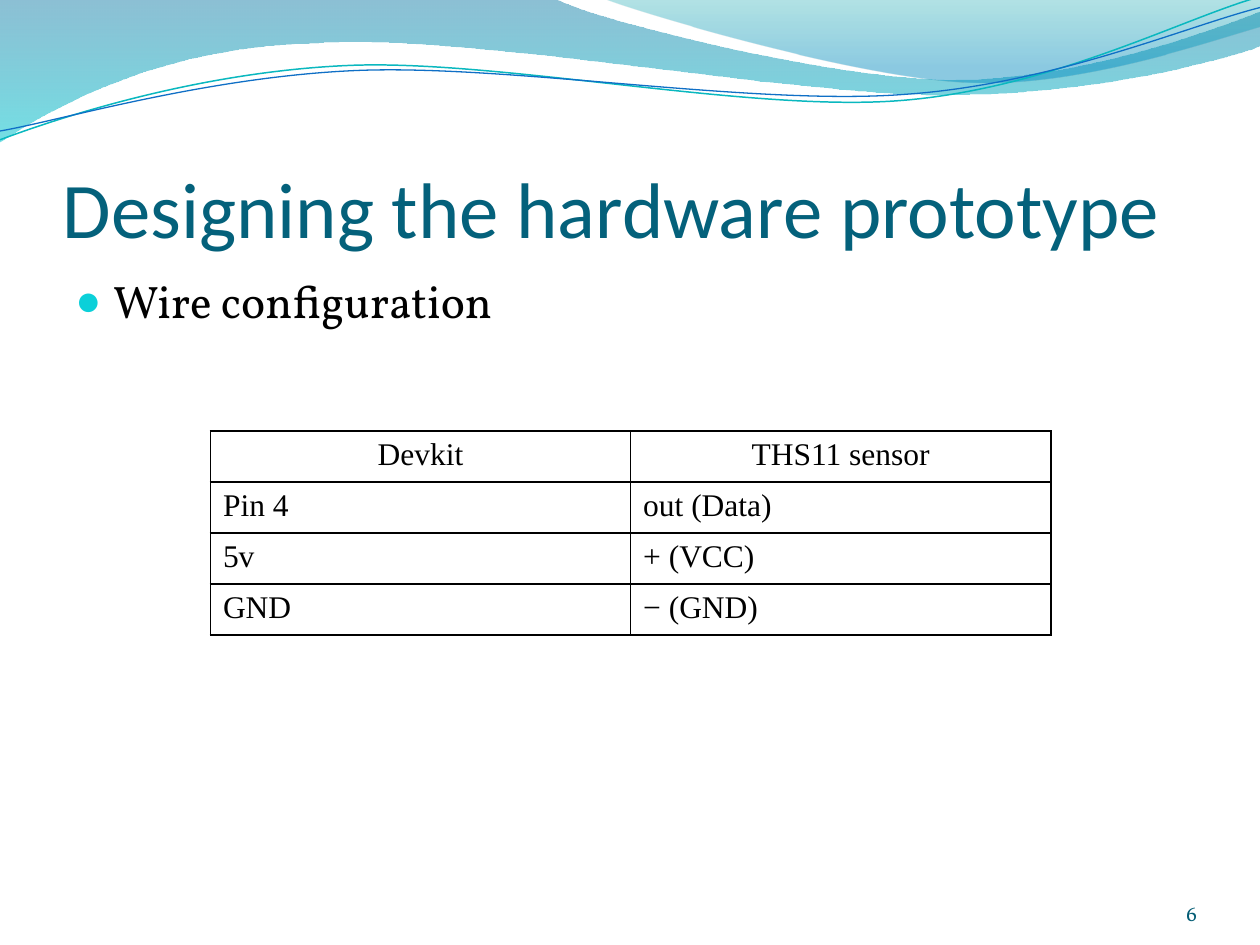
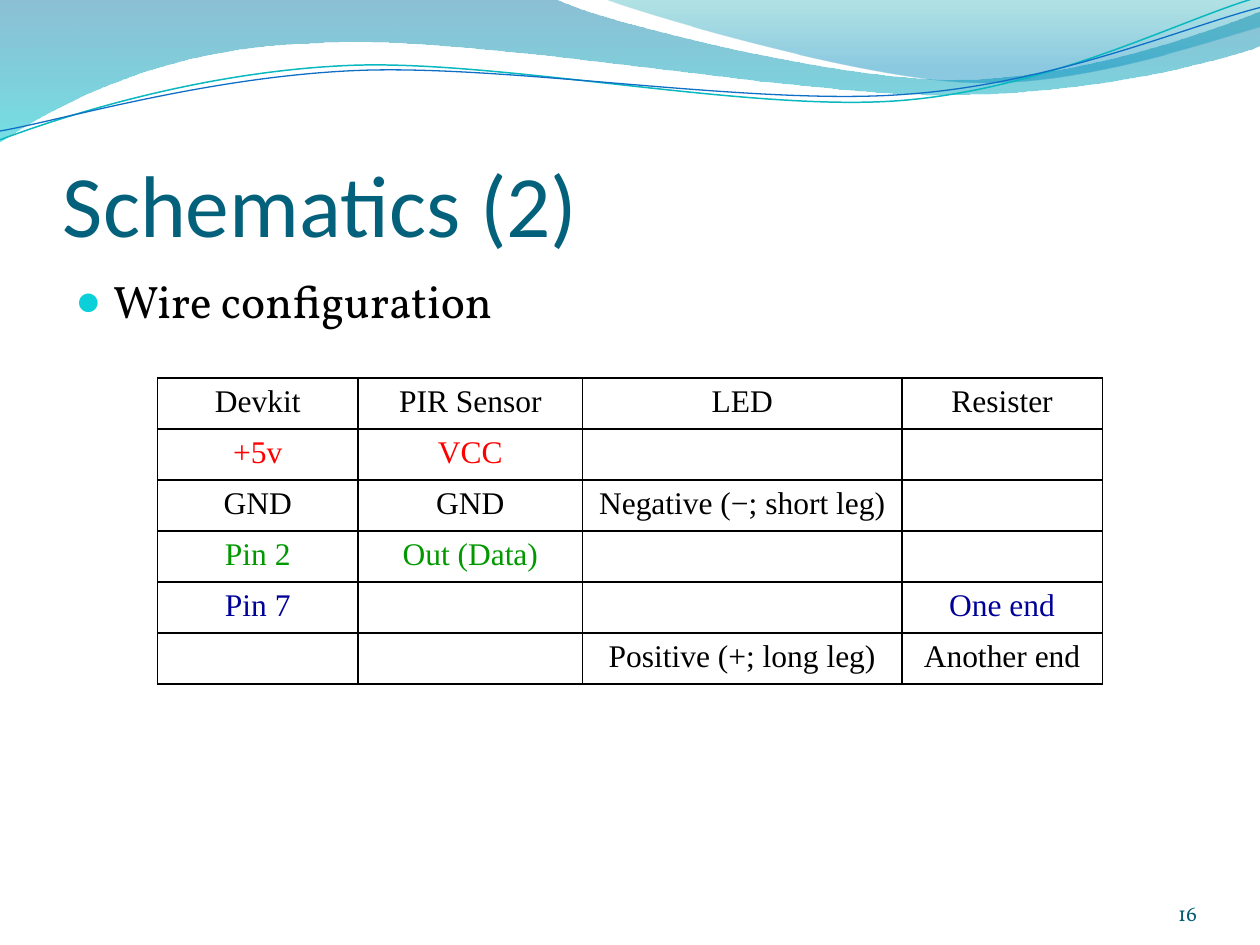
"""Build two wiring slides with a wave header, a title, a bullet and a pin table."""
import pptx
import pptx.dml.color
import pptx.enum.text
import pptx.oxml
import pptx.oxml.ns
import pptx.util
from lxml import etree

Inches = pptx.util.Inches
RGB = pptx.dml.color.RGBColor
ALIGN = pptx.enum.text.PP_ALIGN
ANCHOR = pptx.enum.text.MSO_ANCHOR
qn = pptx.oxml.ns.qn

WHITE = RGB(0xFF, 0xFF, 0xFF)
BLACK = RGB(0, 0, 0)
RED = RGB(0xFF, 0, 0)
GREEN = RGB(0, 0x99, 0)
NAVY = RGB(0, 0, 0x99)
TITLE = RGB(0x04, 0x61, 0x7B)
NUMBER = RGB(0x04, 0x5D, 0x75)
BULLET = RGB(0x0B, 0xD0, 0xD9)
TEAL = RGB(0x0A, 0xB8, 0xBF)
BLUE = RGB(0x0F, 0x6F, 0xC6)
DEEP = RGB(0, 0x74, 0xA1)
AQUA = RGB(0, 0xC6, 0xCF)
SEA = RGB(0, 0xA1, 0xA9)
SKY = RGB(0, 0x8B, 0xBF)

BANDS = [
    ([[(0, 0)], [(4.4, -0.01)],
      [(4.76, 0.17), (6.64, 0.63), (7.58, 0.63)],
      [(8.53, 0.63), (9.58, 0.26), (10, 0.09)], [(10.01, 0.36)],
      [(9.83, 0.44), (8.7, 0.76), (7.46, 0.75)],
      [(6.22, 0.75), (3.82, 0.28), (2.57, 0.34)],
      [(1.29, 0.36), (0.46, 0.83), (-0.01, 1.13)], [(0, 0)]],
     [(0, DEEP, 45), (1, AQUA, 55)]),
    ([[(4.79, -0.01)],
      [(5.09, 0.11), (6.82, 0.62), (7.69, 0.65)],
      [(8.56, 0.69), (9.61, 0.32), (10, 0.21)], [(10, 0)], [(4.79, -0.01)]],
     [(0, SEA, 30), (0.8, SKY, 45)]),
]
WAVES = [
    ([[(0, 1.11)],
      [(0.48, 0.93), (1.58, 0.57), (2.77, 0.52)],
      [(3.95, 0.47), (5.93, 0.89), (7.13, 0.8)],
      [(8.33, 0.71), (9.38, 0.15), (9.98, -0.02)]], TEAL, 0.85),
    ([[(0, 1.04)],
      [(0.47, 0.96), (1.64, 0.61), (2.83, 0.56)],
      [(4.03, 0.51), (5.97, 0.84), (7.17, 0.75)],
      [(8.36, 0.67), (9.41, 0.21), (10, 0.06)]], BLUE, 0.75),
]
PAGES = [
    dict(title="Designing the hardware prototype", size=45, page="6",
         left=1.67, top=3.42, wide=6.67, high=1.62, cols=[1, 1],
         align=ALIGN.LEFT, tints={},
         rows=[["Devkit", "THS11 sensor"], ["Pin 4", "out (Data)"],
               ["5v", "+ (VCC)"], ["GND", "− (GND)"]]),
    dict(title="Schematics (2)", size=50, page="16",
         left=1.25, top=3, wide=7.5, high=2.43, cols=[1.59, 1.78, 2.53, 1.59],
         align=ALIGN.CENTER, tints={1: RED, 3: GREEN, 4: NAVY},
         rows=[["Devkit", "PIR Sensor", "LED", "Resister"],
               ["+5v", "VCC", "", ""],
               ["GND", "GND", "Negative (−; short leg)", ""],
               ["Pin 2", "Out (Data)", "", ""],
               ["Pin 7", "", "", "One end"],
               ["", "", "Positive (+; long leg)", "Another end"]]),
]


def write(frame, text, font="Vollkorn", size=18, color=BLACK, align=ALIGN.LEFT,
          anchor=ANCHOR.TOP, inset=None):
    """Put one formatted line into a text frame and return its paragraph."""
    frame.word_wrap = True
    frame.vertical_anchor = anchor
    if inset:
        (frame.margin_left, frame.margin_top,
         frame.margin_right, frame.margin_bottom) = map(Inches, inset)
    para = frame.paragraphs[0]
    para.alignment = align
    run = para.add_run()
    run.text = text
    run.font.name = font
    run.font.size = pptx.util.Pt(size)
    run.font.color.rgb = color
    return para


def trace(slide, parts, close):
    """Draw straight and cubic parts as one freeform."""
    ends = [(Inches(part[-1][0]), Inches(part[-1][1])) for part in parts]
    pen = slide.shapes.build_freeform(*ends[0], scale=1.0)
    pen.add_line_segments(ends[1:], close=close)
    shape = pen.convert_to_shape()
    shape.shadow.inherit = False
    lines = list(shape._element.iter(qn("a:lnTo")))
    for line, part in zip(lines, parts[1:]):
        if len(part) == 3:
            curve = etree.Element(qn("a:cubicBezTo"))
            for x, y in part:
                etree.SubElement(curve, qn("a:pt"), x=str(Inches(x) - shape.left),
                                 y=str(Inches(y) - shape.top))
            line.getparent().replace(line, curve)
    return shape


deck = pptx.Presentation()
deck.slide_width, deck.slide_height = Inches(10), Inches(7.5)

for page in PAGES:
    slide = deck.slides.add_slide(deck.slide_layouts[6])
    slide.background.fill.solid()
    slide.background.fill.fore_color.rgb = WHITE

    for parts, stops in BANDS:
        band = trace(slide, parts, True)
        band.line.fill.background()
        band.fill.gradient()
        band.fill.gradient_angle = 270
        for stop, (place, color, _) in zip(band.fill.gradient_stops, stops):
            stop.position = place
            stop.color.rgb = color
        tones = band._element.spPr.iter(qn("a:srgbClr"))
        for tone, (_, _, alpha) in zip(list(tones), stops):
            etree.SubElement(tone, qn("a:alpha"), val=str(alpha * 1000))

    for parts, color, width in WAVES:
        wave = trace(slide, parts, False)
        wave.fill.background()
        wave.line.color.rgb = color
        wave.line.width = pptx.util.Pt(width)

    box = slide.shapes.add_textbox(Inches(0.5), Inches(0.77), Inches(9), Inches(1.25))
    write(box.text_frame, page["title"], font="Calibri", size=page["size"],
          color=TITLE, anchor=ANCHOR.BOTTOM, inset=(0, 0.05, 0, 0))

    box = slide.shapes.add_textbox(Inches(0.5), Inches(2.12), Inches(9), Inches(4.8))
    para = write(box.text_frame, "Wire configuration", size=26)
    props = para._p.get_or_add_pPr()
    props.set("marL", str(Inches(0.3)))
    props.set("indent", str(Inches(-0.3)))
    tint = etree.SubElement(props, qn("a:buClr"))
    etree.SubElement(tint, qn("a:srgbClr"), val=str(BULLET))
    etree.SubElement(props, qn("a:buSzPct"), val="95000")
    etree.SubElement(props, qn("a:buFont"), typeface="Times New Roman")
    etree.SubElement(props, qn("a:buChar"), char="●")

    box = slide.shapes.add_textbox(Inches(8.67), Inches(6.95), Inches(0.83), Inches(0.4))
    write(box.text_frame, page["page"], size=12, color=NUMBER, align=ALIGN.RIGHT,
          anchor=ANCHOR.BOTTOM, inset=(0, 0, 0, 0))

    rows, cols = page["rows"], page["cols"]
    grid = slide.shapes.add_table(
        len(rows), len(cols), Inches(page["left"]), Inches(page["top"]),
        Inches(page["wide"]), Inches(page["high"])).table
    grid.first_row = grid.horz_banding = False
    for col, share in zip(grid.columns, cols):
        col.width = Inches(page["wide"] * share / sum(cols))
    for r, row in enumerate(rows):
        for c, text in enumerate(row):
            cell = grid.cell(r, c)
            props = cell._tc.get_or_add_tcPr()
            for side in ("a:lnL", "a:lnR", "a:lnT", "a:lnB"):
                edge = etree.SubElement(props, qn(side), w="12700")
                fill = etree.SubElement(edge, qn("a:solidFill"))
                etree.SubElement(fill, qn("a:srgbClr"), val=str(BLACK))
            cell.fill.background()
            if text:
                write(cell.text_frame, text, font="Times New Roman",
                      color=page["tints"].get(r, BLACK),
                      align=page["align"] if r else ALIGN.CENTER)

deck.save("out.pptx")
